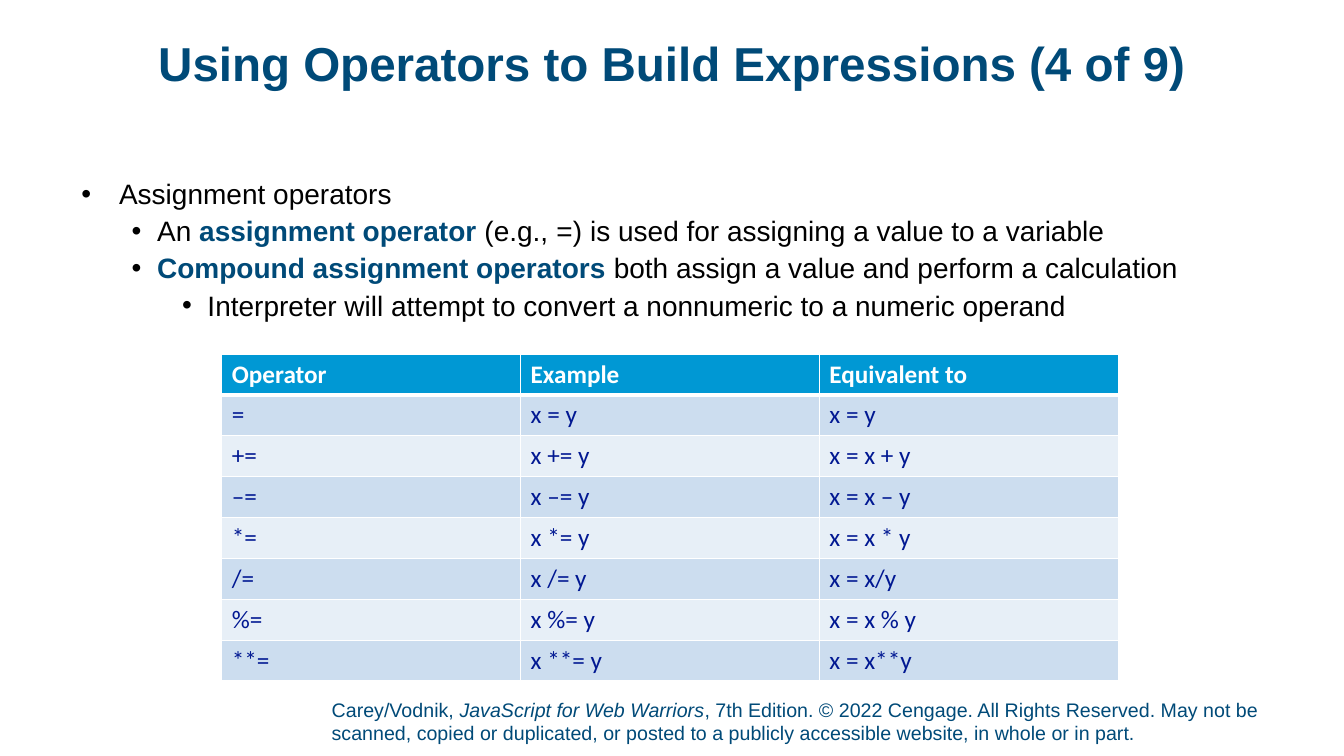
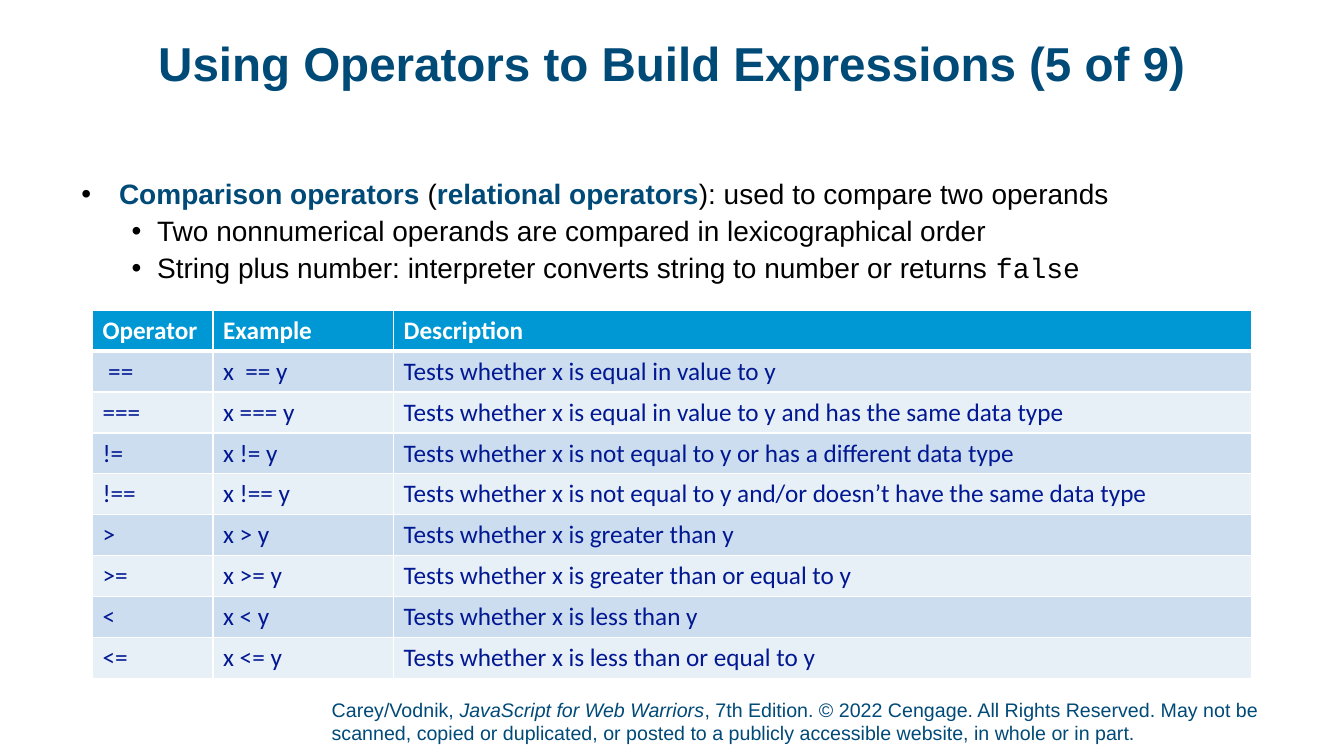
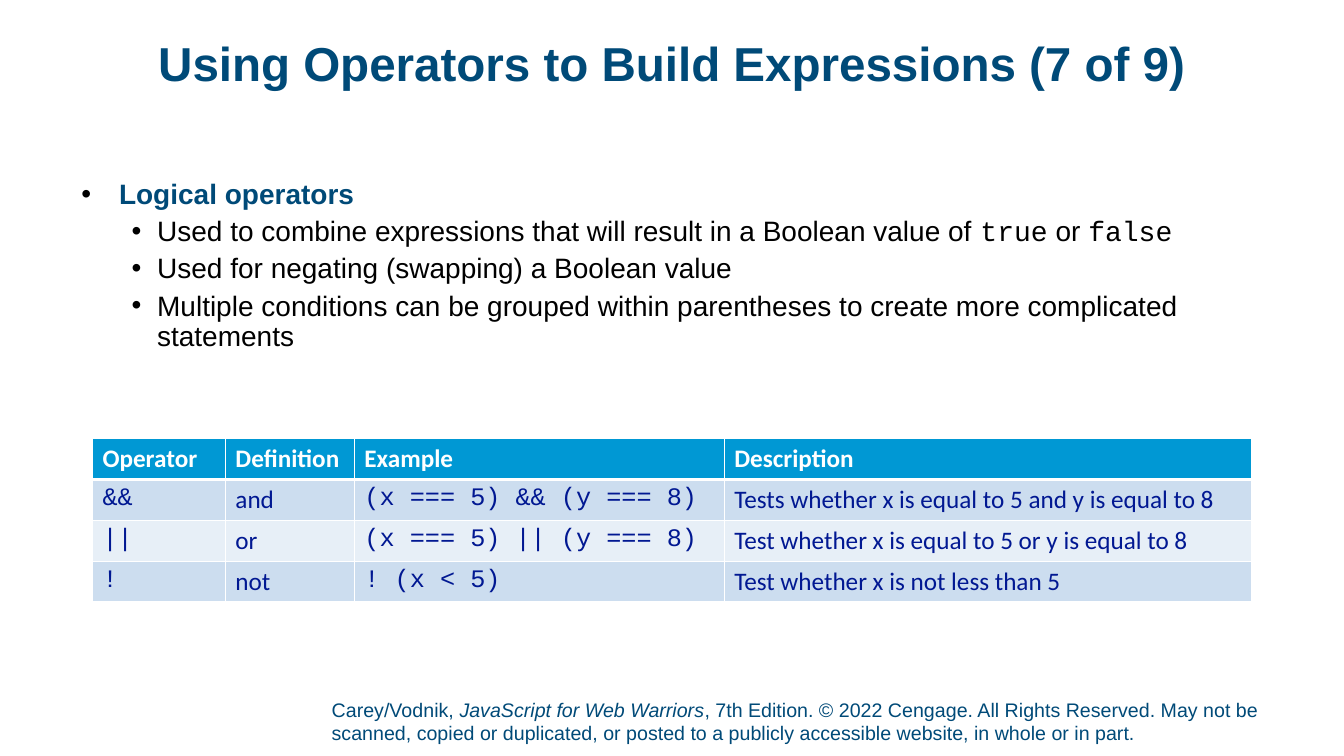
from lxml.etree import SubElement
from pptx import Presentation
from pptx.dml.color import RGBColor
from pptx.enum.text import MSO_ANCHOR, MSO_AUTO_SIZE, PP_ALIGN
from pptx.oxml.ns import qn
from pptx.util import Cm, Pt

NAVY, BLACK, WHITE = "004A78", "000000", "FFFFFF"
HEADER_BLUE, CELL_INK = "0098D4", "011892"
BANDS = ("CCDDEF", "E7EFF7")
ROW_HEIGHT = 1.03
TITLE_BOX = (2.33, 1.02, 29.21, 1.88)
FOOTER_BOX = (8.36, 17.57, 24.86, 1.33)

TITLE = {"size": 34, "name": "Arial", "color": NAVY, "bold": True}
FOOTER = {"size": 14, "name": "Arial", "color": NAVY}
PLAIN = {"size": 20, "name": "Arial", "color": BLACK}
TERM = {**PLAIN, "color": NAVY, "bold": True}
CODE = {**PLAIN, "name": "Courier New"}
HEADER_CELL = {"size": 18, "name": "Calibri", "color": WHITE, "bold": True}
TEXT_CELL = {"size": 18, "name": "Calibri", "color": CELL_INK, "bold": False}
CODE_CELL = {**TEXT_CELL, "name": "Courier New"}

LEVELS = ((0.95, 0.95), (1.91, 0.64), (3.18, 0.64))

FOOTER_SPANS = [
    ("Carey/Vodnik, ", FOOTER),
    ("JavaScript for Web Warriors", {**FOOTER, "italic": True}),
    (", 7th Edition. © 2022 Cengage. All Rights Reserved. May not be scanned, "
     "copied or duplicated, or posted to a publicly accessible website, "
     "in whole or in part.", FOOTER),
]

PAGES = [
    {
        "number": 4,
        "body_box": (2.05, 4.54, 29.75, 4.19),
        "bullets": [
            (0, [("Assignment operators", PLAIN)]),
            (1, [("An ", PLAIN), ("assignment operator ", TERM), ("(e.g., ", PLAIN),
                 ("=", CODE), (") is used for assigning a value to a variable", PLAIN)]),
            (1, [("Compound assignment operators ", TERM),
                 ("both assign a value and perform a calculation", PLAIN)]),
            (2, [("Interpreter will attempt to convert a nonnumeric to a numeric operand",
                  PLAIN)]),
        ],
        "table_at": (5.59, 8.92),
        "columns": (7.53, 7.53, 7.53),
        "code_columns": (),
        "rows": [
            ("Operator", "Example", "Equivalent to"),
            ("=", "x = y", "x = y"),
            ("+=", "x += y", "x = x + y"),
            ("–=", "x –= y", "x = x – y"),
            ("*=", "x *= y", "x = x * y"),
            ("/=", "x /= y", "x = x/y"),
            ("%=", "x %= y", "x = x % y"),
            ("**=", "x **= y", "x = x**y"),
        ],
    },
    {
        "number": 5,
        "body_box": (2.05, 4.54, 29.75, 3.25),
        "bullets": [
            (0, [("Comparison operators ", TERM), ("(", PLAIN),
                 ("relational operators", TERM), ("): used to compare two operands", PLAIN)]),
            (1, [("Two nonnumerical operands are compared in lexicographical order", PLAIN)]),
            (1, [("String plus number: interpreter converts string to number or returns ",
                  PLAIN), ("false", CODE)]),
        ],
        "table_at": (2.33, 7.82),
        "columns": (3.04, 4.55, 21.62),
        "code_columns": (),
        "rows": [
            ("Operator", "Example", "Description"),
            (" ==", "x  == y", "Tests whether x is equal in value to y"),
            ("===", "x === y",
             "Tests whether x is equal in value to y and has the same data type"),
            ("!=", "x != y",
             "Tests whether x is not equal to y or has a different data type"),
            ("!==", "x !== y",
             "Tests whether x is not equal to y and/or doesn’t have the same data type"),
            (">", "x > y", "Tests whether x is greater than y"),
            (">=", "x >= y", "Tests whether x is greater than or equal to y"),
            ("<", "x < y", "Tests whether x is less than y"),
            ("<=", "x <= y", "Tests whether x is less than or equal to y"),
        ],
    },
    {
        "number": 7,
        "body_box": (2.05, 4.54, 29.75, 4.98),
        "bullets": [
            (0, [("Logical operators", TERM)]),
            (1, [("Used to combine expressions that will result in a Boolean value of ",
                  PLAIN), ("true", CODE), (" or ", PLAIN), ("false", CODE)]),
            (1, [("Used for negating (swapping) a Boolean value", PLAIN)]),
            (1, [("Multiple conditions can be grouped within parentheses to create "
                  "more complicated statements", PLAIN)]),
        ],
        "table_at": (2.33, 11.05),
        "columns": (3.35, 3.25, 9.32, 13.29),
        "code_columns": (0, 2),
        "rows": [
            ("Operator", "Definition", "Example", "Description"),
            ("&&", "and", "(x === 5) && (y === 8)",
             "Tests whether x is equal to 5 and y is equal to 8"),
            ("||", "or", "(x === 5) || (y === 8)",
             "Test whether x is equal to 5 or y is equal to 8"),
            ("!", "not", "! (x < 5)", "Test whether x is not less than 5"),
        ],
    },
]


def color(value):
    return RGBColor.from_string(value)


def lengths(values):
    return [Cm(value) for value in values]


def add_spans(para, spans):
    for text, style in spans:
        span = para.add_run()
        span.text = text
        for name, value in style.items():
            if name == "color":
                span.font.color.rgb = color(value)
            else:
                setattr(span.font, name, Pt(value) if name == "size" else value)


def set_frame(frame, **changes):
    values = {
        "word_wrap": True, "auto_size": MSO_AUTO_SIZE.NONE,
        "vertical_anchor": MSO_ANCHOR.TOP,
        "margin_left": 0, "margin_top": 0, "margin_right": 0, "margin_bottom": 0,
        **changes,
    }
    for name, value in values.items():
        setattr(frame, name, value)


def add_title(page, box, text):
    title = page.shapes.title
    for name, value in zip(("left", "top", "width", "height"), lengths(box)):
        setattr(title, name, value)
    set_frame(title.text_frame)
    para = title.text_frame.paragraphs[0]
    para.alignment = PP_ALIGN.CENTER
    para.line_spacing = 0.9
    add_spans(para, [(text, TITLE)])


def add_footer(page, box):
    frame = page.shapes.add_textbox(*lengths(box)).text_frame
    set_frame(frame, vertical_anchor=MSO_ANCHOR.BOTTOM, margin_bottom=Cm(0.13))
    add_spans(frame.paragraphs[0], FOOTER_SPANS)


def add_bullet(para, level):
    left, hanging = LEVELS[level]
    para.level = level
    properties = para._p.get_or_add_pPr()
    properties.set("marL", str(Cm(left)))
    properties.set("indent", str(-Cm(hanging)))
    bullet_color = SubElement(properties, qn("a:buClr"))
    SubElement(bullet_color, qn("a:srgbClr"), val=BLACK)
    SubElement(properties, qn("a:buFont"), typeface="Arial")
    SubElement(properties, qn("a:buChar"), char="•")


def add_body(page, box, bullets):
    frame = page.shapes.add_textbox(*lengths(box)).text_frame
    set_frame(frame)
    for index, (level, spans) in enumerate(bullets):
        para = frame.add_paragraph() if index else frame.paragraphs[0]
        add_bullet(para, level)
        para.line_spacing = 0.9
        para.space_before = Pt(5 if index else 0)
        add_spans(para, spans)


def set_borders(cell, row_index):
    widths = {"lnL": 1, "lnR": 1, "lnT": 3 if row_index == 1 else 1,
              "lnB": 3 if row_index == 0 else 1}
    properties = cell._tc.get_or_add_tcPr()
    for side, width in widths.items():
        line = SubElement(properties, qn(f"a:{side}"), w=str(Pt(width)))
        fill = SubElement(line, qn("a:solidFill"))
        SubElement(fill, qn("a:srgbClr"), val=WHITE)


def add_operator_table(page, position, columns, rows, code_columns):
    size = (sum(columns), ROW_HEIGHT * len(rows))
    table = page.shapes.add_table(
        len(rows), len(columns), *lengths(position + size)).table
    for column, width in zip(table.columns, columns):
        column.width = Cm(width)
    for row_index, texts in enumerate(rows):
        table.rows[row_index].height = Cm(ROW_HEIGHT)
        for column_index, text in enumerate(texts):
            cell = table.cell(row_index, column_index)
            set_borders(cell, row_index)
            cell.fill.solid()
            if row_index == 0:
                background, style = HEADER_BLUE, HEADER_CELL
            else:
                background = BANDS[(row_index - 1) % 2]
                style = CODE_CELL if column_index in code_columns else TEXT_CELL
            cell.fill.fore_color.rgb = color(background)
            add_spans(cell.text_frame.paragraphs[0], [(text, style)])


def add_page(deck, content):
    page = deck.slides.add_slide(deck.slide_layouts.get_by_name("Title Only"))
    add_footer(page, FOOTER_BOX)
    add_title(page, TITLE_BOX,
              f"Using Operators to Build Expressions ({content['number']} of 9)")
    add_body(page, content["body_box"], content["bullets"])
    add_operator_table(page, content["table_at"], content["columns"],
                       content["rows"], content["code_columns"])


def main():
    deck = Presentation()
    deck.slide_width, deck.slide_height = lengths((33.87, 19.05))
    background = deck.slide_master.background.fill
    background.solid()
    background.fore_color.rgb = color(WHITE)
    for content in PAGES:
        add_page(deck, content)
    deck.save("out.pptx")


if __name__ == "__main__":
    main()
